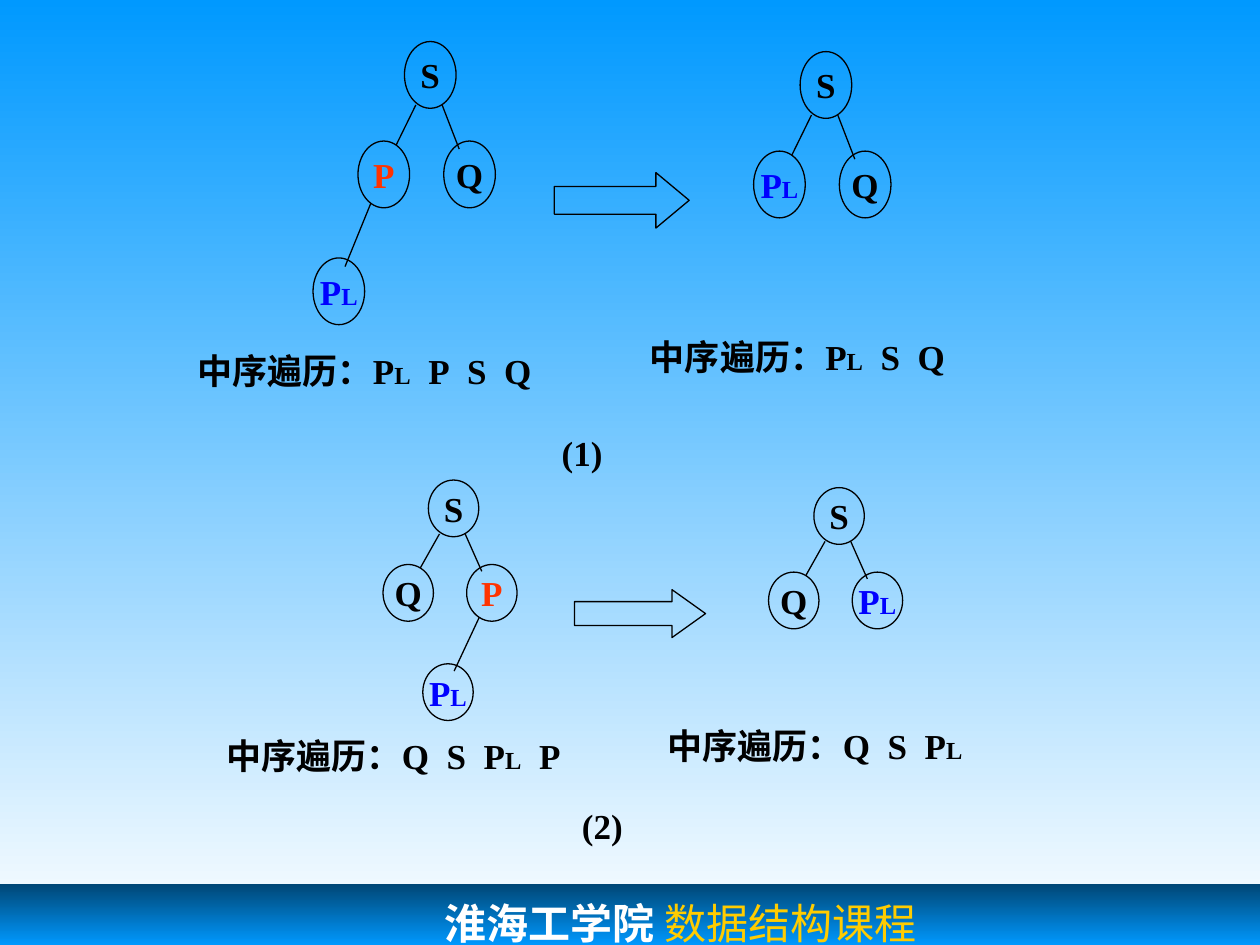
from copy import deepcopy
from dataclasses import dataclass

from lxml import etree
from pptx import Presentation
from pptx.dml.color import RGBColor
from pptx.enum.shapes import MSO_CONNECTOR, MSO_SHAPE
from pptx.enum.text import MSO_ANCHOR, PP_ALIGN
from pptx.oxml.ns import qn
from pptx.util import Inches, Pt

OVAL, ARROW, RECT = MSO_SHAPE.OVAL, MSO_SHAPE.RIGHT_ARROW, MSO_SHAPE.RECTANGLE
STRAIGHT = MSO_CONNECTOR.STRAIGHT
LEFT, CENTER = PP_ALIGN.LEFT, PP_ALIGN.CENTER
MIDDLE, TOP = MSO_ANCHOR.MIDDLE, MSO_ANCHOR.TOP
EN_SPACE = chr(0x2002)


@dataclass(frozen=True)
class Theme:
    """Colours, fonts and sizes of the slide."""
    ink: str = "000000"
    deleted: str = "FF3300"
    subtree: str = "0000FF"
    sky: str = "0099FF"
    deep: str = "004776"
    white: str = "FFFFFF"
    gold: str = "FFCC00"
    serif: str = "Times New Roman"
    mono: str = "DejaVu Sans Mono"
    body: int = 20
    subscript: int = 14
    footer: int = 24
    line: float = 0.75


T = Theme()
NODE_COLORS = {"P": T.deleted, "PL": T.subtree}

BRANCHES_IN_NODE_SIZES = {
    "left": ((-0.9, 1.49), (0.22, 0.95), (-0.16, 1.55)),
    "right": ((0.76, 1.49), (0.73, 0.95), (1.06, 1.61)),
    "lower": ((-0.87, 1.75), (0.25, 0.93), (-0.25, 1.88)),
}

CASES = [
    {
        "node": (0.41, 0.53),
        "trees": [
            ((3.21, 0.33), ("S", {"left": ("P", {"lower": ("PL", {})}),
                                  "right": ("Q", {})})),
            ((6.35, 0.41), ("S", {"left": ("PL", {}), "right": ("Q", {})})),
        ],
        "orders": [((1.47, 2.72, 2.91, 0.44), ["PL", "P", "S", "Q"]),
                   ((5.06, 2.61, 2.61, 0.44), ["PL", "S", "Q"])],
        "arrow": ((4.4, 1.37, 1.07, 0.44), 0.6),
        "number": ((4.36, 3.37, 0.52, 0.44), "(1)"),
    },
    {
        "node": (0.4, 0.45),
        "trees": [
            ((3.4, 3.81), ("S", {"left": ("Q", {}),
                                 "right": ("P", {"lower": ("PL", {})})})),
            ((6.46, 3.87), ("S", {"left": ("Q", {}), "right": ("PL", {})})),
        ],
        "orders": [((1.7, 5.78, 2.91, 0.44), ["Q", "S", "PL", "P"]),
                   ((5.2, 5.7, 2.61, 0.44), ["Q", "S", "PL"])],
        "arrow": ((4.56, 4.68, 1.04, 0.38), 0.7),
        "number": ((4.52, 6.33, 0.52, 0.44), "(2)"),
    },
]


def inches(values):
    """Convert a sequence of numbers to lengths."""
    return [Inches(v) for v in values]


def add_run(p, text, size, color, font=T.serif, bold=True):
    """Append one formatted run."""
    r = p.add_run()
    r.text = text
    r.font.size, r.font.name, r.font.bold = Pt(size), font, bold
    r.font.color.rgb = RGBColor.from_string(color)


def write_label(tf, text, color=T.ink, align=CENTER):
    """Write one unwrapped line, with the L of each PL set small."""
    tf.word_wrap = False
    tf.vertical_anchor = MIDDLE
    p = tf.paragraphs[0]
    p.alignment = align
    for i, part in enumerate(text.split("PL")):
        if i:
            add_run(p, "P", T.body, color)
            add_run(p, "L", T.subscript, color)
        if part:
            add_run(p, part, T.body, color)


def gradient(fill, element, colors):
    """Fill from top to bottom through evenly spaced colours."""
    fill.gradient()
    fill.gradient_angle = 270
    gs_list = element.xpath(".//a:gsLst")[0]
    while len(gs_list) < len(colors):
        gs_list.append(deepcopy(gs_list[0]))
    for i, (stop, color) in enumerate(zip(fill.gradient_stops, colors)):
        stop.position = i / (len(colors) - 1)
        stop.color.rgb = RGBColor.from_string(color)


def add_outline(shapes, kind, box):
    """Add an unfilled shape with a thin outline."""
    sp = shapes.add_shape(kind, *inches(box))
    sp.shadow.inherit = False
    sp.fill.background()
    sp.line.color.rgb = RGBColor.from_string(T.ink)
    sp.line.width = Pt(T.line)
    return sp


def add_edge(shapes, start, end):
    """Add a thin line between two points."""
    line = shapes.add_connector(STRAIGHT, *inches(start + end))
    line.line.color.rgb = RGBColor.from_string(T.ink)
    line.line.width = Pt(T.line)
    etree.SubElement(line._element.spPr, qn("a:effectLst"))


def add_tree(shapes, corner, size, tree):
    """Draw a node at a corner, then its branches."""
    name, children = tree
    sp = add_outline(shapes, OVAL, corner + size)
    write_label(sp.text_frame, name, NODE_COLORS.get(name, T.ink))
    for side, child in children.items():
        child_corner, start, end = (
            tuple(c + k * d for c, k, d in zip(corner, point, size))
            for point in BRANCHES_IN_NODE_SIZES[side])
        add_tree(shapes, child_corner, size, child)
        add_edge(shapes, start, end)


def add_caption(shapes, box, text, align):
    """Add a one-line text box with spare room beside the text."""
    tf = shapes.add_textbox(*inches(box)).text_frame
    write_label(tf, text, align=align)
    tf.margin_right = 0
    tf.margin_left = Inches(0.1) if align == LEFT else 0


def add_case(s, case):
    """Draw one deletion case: trees, orders, arrow and number."""
    shapes = s.shapes.add_group_shape().shapes
    for corner, tree in case["trees"]:
        add_tree(shapes, corner, case["node"], tree)
    for box, order in case["orders"]:
        add_caption(shapes, box, "中序遍历：" + EN_SPACE.join(order), LEFT)
    box, head = case["arrow"]
    sp = add_outline(shapes, ARROW, box)
    sp.adjustments[0], sp.adjustments[1] = 0.5, head
    add_caption(shapes, *case["number"], CENTER)


def add_footer(s, box):
    """Draw the course band."""
    sp = s.shapes.add_shape(RECT, *inches(box))
    sp.shadow.inherit = False
    sp.line.fill.background()
    gradient(sp.fill, sp._element, [T.deep, T.sky, T.deep])
    tf = sp.text_frame
    tf.word_wrap = True
    tf.vertical_anchor = TOP
    tf.margin_left, tf.margin_top = inches((3.53, 0.1))
    p = tf.paragraphs[0]
    p.alignment = LEFT
    add_run(p, "淮海工学院", T.footer, T.white, T.mono)
    add_run(p, " 数据结构课程", T.footer, T.gold, bold=False)


def main():
    """Build and save the slide."""
    prs = Presentation()
    prs.slide_width, prs.slide_height = Inches(10), Inches(7.5)
    s = prs.slides.add_slide(prs.slide_layouts[6])
    gradient(s.background.fill, s._element, [T.sky, T.white])
    add_footer(s, (0, 7.02, 10, 0.97))
    for case in reversed(CASES):
        add_case(s, case)
    prs.save("out.pptx")


if __name__ == "__main__":
    main()
